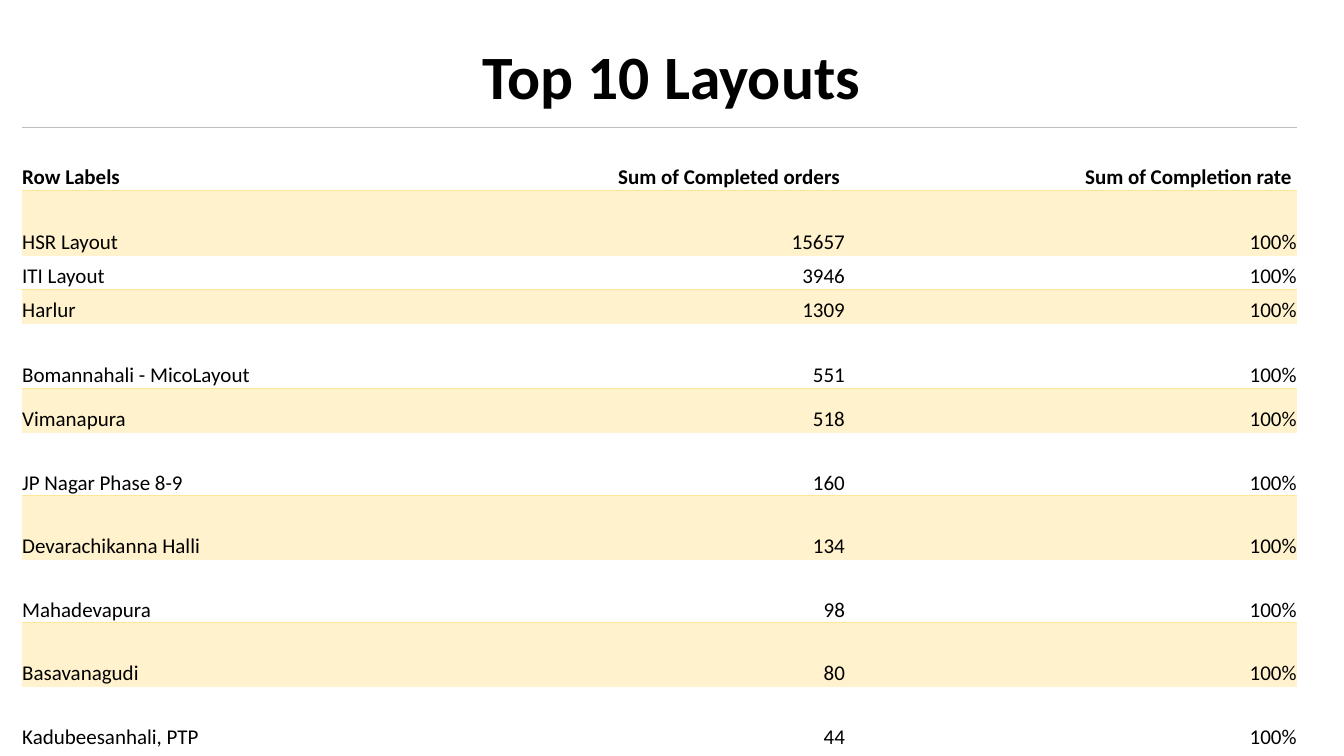
from lxml import etree
from pptx import Presentation
from pptx.dml.color import RGBColor
from pptx.enum.text import MSO_ANCHOR, MSO_AUTO_SIZE, PP_ALIGN
from pptx.oxml.ns import qn
from pptx.util import Inches, Pt

LEFT, CENTER, RIGHT = PP_ALIGN.LEFT, PP_ALIGN.CENTER, PP_ALIGN.RIGHT
TOP, BOTTOM = MSO_ANCHOR.TOP, MSO_ANCHOR.BOTTOM
NO_AUTOFIT = MSO_AUTO_SIZE.NONE
TITLE_ONLY = 5
NO_STYLE = "{2D5ABB26-0587-4C30-8999-92F81FD0307C}"
COLORS = {"text": "000000", "band": "FFF2CC", "rule": "FFE699", "top": "BFBFBF"}
TITLE_FORMAT = {"name": "Calibri", "size": Pt(44), "bold": True}
HEADER_FORMAT = {"name": "Calibri", "size": Pt(15), "bold": True}
BODY_FORMAT = {**HEADER_FORMAT, "bold": False}
HEADER_INSET = 0.05
COLUMN_WIDTHS = [3.04, 5.12, 4.48]
HEADER = ["Row Labels", "Sum of Completed orders", "Sum of Completion rate"]
HEADER_HEIGHT = 0.63
LAYOUTS = [
    ("HSR Layout", 15657, 0.64),
    ("ITI Layout", 3946, 0.34),
    ("Harlur", 1309, 0.34),
    ("Bomannahali - MicoLayout", 551, 0.64),
    ("Vimanapura", 518, 0.44),
    ("JP Nagar Phase 8-9", 160, 0.63),
    ("Devarachikanna Halli", 134, 0.63),
    ("Mahadevapura", 98, 0.63),
    ("Basavanagudi", 80, 0.63),
    ("Kadubeesanhali, PTP", 44, 0.63),
]


class SlideBuilder:
    """Draws styled elements on the current slide."""

    def __init__(self, slide):
        self.slide = slide

    def text(self, paragraph, text, font_format, alignment):
        paragraph.alignment = alignment
        run = paragraph.add_run()
        run.text = text
        for name, value in font_format.items():
            setattr(run.font, name, value)
        run.font.color.rgb = RGBColor.from_string(COLORS["text"])

    def title(self, text, left, top, width, height):
        shape = self.slide.shapes.title
        box = {"left": left, "top": top, "width": width, "height": height}
        for name, value in box.items():
            setattr(shape, name, Inches(value))
        frame = shape.text_frame
        frame.auto_size = NO_AUTOFIT
        frame.vertical_anchor = TOP
        self.text(frame.paragraphs[0], text, TITLE_FORMAT, CENTER)

    def border(self, cell, side, color):
        properties = cell._tc.get_or_add_tcPr()
        line = etree.Element(qn(f"a:{side}"), w=str(Pt(0.5)))
        fill = etree.SubElement(line, qn("a:solidFill"))
        etree.SubElement(fill, qn("a:srgbClr"), val=COLORS[color])
        properties.insert(0, line)

    def cell(self, cell, text, font_format, alignment, inset, banded, borders):
        margins = {"margin_left": 0, "margin_right": inset, "margin_top": 0, "margin_bottom": 0}
        for name, value in margins.items():
            setattr(cell, name, Inches(value))
        cell.vertical_anchor = BOTTOM
        self.text(cell.text_frame.paragraphs[0], text, font_format, alignment)
        if banded:
            cell.fill.solid()
            cell.fill.fore_color.rgb = RGBColor.from_string(COLORS["band"])
        else:
            cell.fill.background()
        for side, color in zip(("lnB", "lnT"), reversed(borders)):
            if color:
                self.border(cell, side, color)

    def table(self, left, top, rows, heights):
        shape = self.slide.shapes.add_table(
            len(rows), len(COLUMN_WIDTHS), Inches(left), Inches(top),
            Inches(sum(COLUMN_WIDTHS)), Inches(sum(heights)))
        table = shape.table
        table.first_row = table.horz_banding = False
        table._tbl.tblPr.find(qn("a:tableStyleId")).text = NO_STYLE
        for column, width in zip(table.columns, COLUMN_WIDTHS):
            column.width = Inches(width)
        for row_index, (values, height) in enumerate(zip(rows, heights)):
            table.rows[row_index].height = Inches(height)
            is_header = row_index == 0
            is_last = row_index == len(rows) - 1
            banded = row_index % 2 == 1
            font_format = HEADER_FORMAT if is_header else BODY_FORMAT
            inset = HEADER_INSET if is_header else 0
            if banded:
                borders = ("rule", "band")
            else:
                borders = ("top" if is_header else "band", None if is_last else "rule")
            for column_index, text in enumerate(values):
                alignment = RIGHT if column_index else LEFT
                self.cell(table.cell(row_index, column_index), text, font_format,
                          alignment, inset, banded, borders)


def main():
    presentation = Presentation()
    presentation.slide_width = Inches(13.33)
    presentation.slide_height = Inches(7.5)
    slide = presentation.slides.add_slide(presentation.slide_layouts[TITLE_ONLY])
    builder = SlideBuilder(slide)
    rows = [HEADER] + [(name, str(orders), "100%") for name, orders, _ in LAYOUTS]
    heights = [HEADER_HEIGHT] + [height for _, _, height in LAYOUTS]
    builder.table(0.22, 1.26, rows, heights)
    builder.title("Top 10 Layouts ", 0.47, 0.33, 12.52, 0.84)
    presentation.save("out.pptx")


if __name__ == "__main__":
    main()
